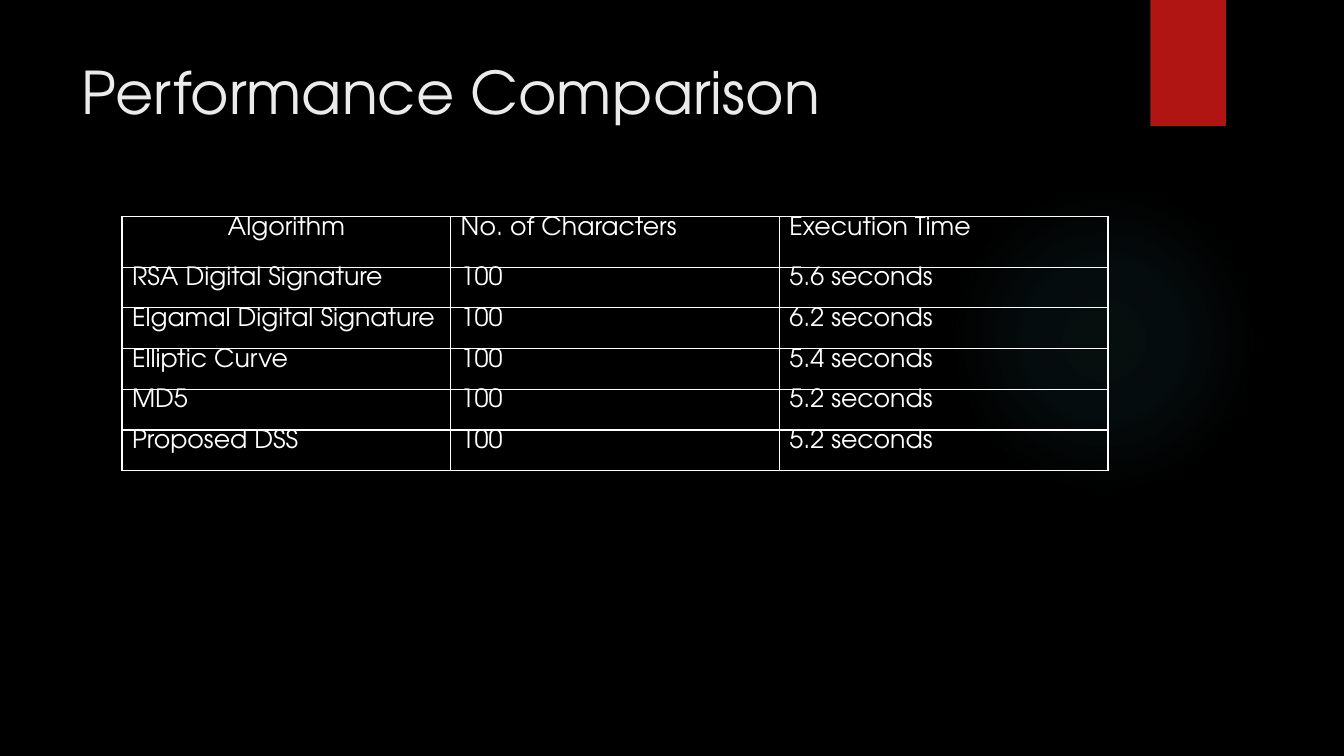
from lxml.etree import SubElement
from pptx import Presentation
from pptx.dml.color import RGBColor
from pptx.enum.shapes import MSO_SHAPE
from pptx.enum.text import MSO_ANCHOR, MSO_AUTO_SIZE, PP_ALIGN
from pptx.oxml import parse_xml
from pptx.oxml.ns import nsdecls, qn
from pptx.util import Inches, Pt

BLACK = RGBColor(0x00, 0x00, 0x00)
WHITE = RGBColor(0xFF, 0xFF, 0xFF)
PALE = RGBColor(0xEB, 0xEB, 0xEB)
RED = RGBColor(0xB0, 0x15, 0x13)
TEAL = RGBColor(0x50, 0xB9, 0xC1)
FONT = "TeX Gyre Adventor"

HEAD = ("Algorithm", "No. of Characters", "Execution Time")
TIMES = (
    ("RSA Digital Signature", "5.6"),
    ("Elgamal Digital Signature", "6.2"),
    ("Elliptic Curve", "5.4"),
    ("MD5", "5.2"),
    ("Proposed DSS", "5.2"),
)
ROWS = [HEAD] + [(name, "100", f"{time} seconds") for name, time in TIMES]


def style(para, size, color):
    """Set the font of a paragraph."""
    font = para.font
    font.name, font.size, font.bold = FONT, Pt(size), False
    font.color.rgb = color


def add_plain(slide, kind, box, color):
    """Add a flat shape without line or shadow."""
    shape = slide.shapes.add_shape(kind, *map(Inches, box))
    shape.shadow.inherit = False
    shape.line.fill.background()
    shape.fill.solid()
    shape.fill.fore_color.rgb = color
    return shape


def add_glow(slide, box):
    """Add a round glow that fades toward its rim."""
    glow = add_plain(slide, MSO_SHAPE.OVAL, box, TEAL)
    stops = "".join(
        f'<a:gs pos="{pos * 1000}"><a:srgbClr val="{TEAL}">'
        f'<a:alpha val="{alpha * 1000}"/></a:srgbClr></a:gs>'
        for pos, alpha in ((0, 7), (36, 6), (69, 0))
    )
    fade = parse_xml(
        f'<a:gradFill {nsdecls("a")}><a:gsLst>{stops}</a:gsLst>'
        '<a:path path="circle"><a:fillToRect l="50000" t="50000" '
        'r="50000" b="50000"/></a:path></a:gradFill>'
    )
    props = glow.element.spPr
    props.replace(props.find(qn("a:solidFill")), fade)


def set_title(slide, box, text):
    """Place and fill the title placeholder."""
    title = slide.shapes.title
    title.left, title.top, title.width, title.height = map(Inches, box)
    frame = title.text_frame
    frame.text = text
    frame.word_wrap = True
    frame.auto_size = MSO_AUTO_SIZE.NONE
    frame.vertical_anchor = MSO_ANCHOR.TOP
    para = frame.paragraphs[0]
    para.alignment = PP_ALIGN.LEFT
    style(para, 42, PALE)


def add_rules(cell):
    """Draw a thin white border on each side of a cell."""
    props = cell._tc.get_or_add_tcPr()
    for spot, side in enumerate(("lnL", "lnR", "lnT", "lnB")):
        line = parse_xml(f'<a:{side} {nsdecls("a")} w="{Pt(1)}"/>')
        fill = SubElement(line, qn("a:solidFill"))
        SubElement(fill, qn("a:srgbClr"), val=str(WHITE))
        props.insert(spot, line)


def add_grid(slide, box, rows, top_row):
    """Add the table, with a taller first row and equal others."""
    left, top, width, height = map(Inches, box)
    count = len(rows)
    frame = slide.shapes.add_table(count, len(rows[0]), left, top, width, height)
    table = frame.table
    table.first_row = table.horz_banding = False
    rest = (height - Inches(top_row)) // (count - 1)
    for i, texts in enumerate(rows):
        table.rows[i].height = rest if i else Inches(top_row)
        for j, text in enumerate(texts):
            cell = table.cell(i, j)
            cell.text = text
            cell.margin_top = cell.margin_bottom = 0
            cell.fill.background()
            add_rules(cell)
            style(cell.text_frame.paragraphs[0], 18, WHITE)
    table.cell(0, 0).text_frame.paragraphs[0].alignment = PP_ALIGN.CENTER


def main():
    """Build and save the slide."""
    deck = Presentation()
    deck.slide_width, deck.slide_height = Inches(13.33), Inches(7.5)
    slide = deck.slides.add_slide(deck.slide_layouts[5])
    back = slide.background.fill
    back.solid()
    back.fore_color.rgb = BLACK
    add_glow(slide, (9.41, 1.83, 3.08, 3.08))
    add_plain(slide, MSO_SHAPE.RECTANGLE, (11.41, 0, 0.75, 1.25), RED)
    set_title(slide, (0.71, 0.5, 10.29, 1.53), "Performance Comparison")
    add_grid(slide, (1.21, 2.15, 9.78, 2.52), ROWS, 0.5)
    deck.save("out.pptx")


if __name__ == "__main__":
    main()
